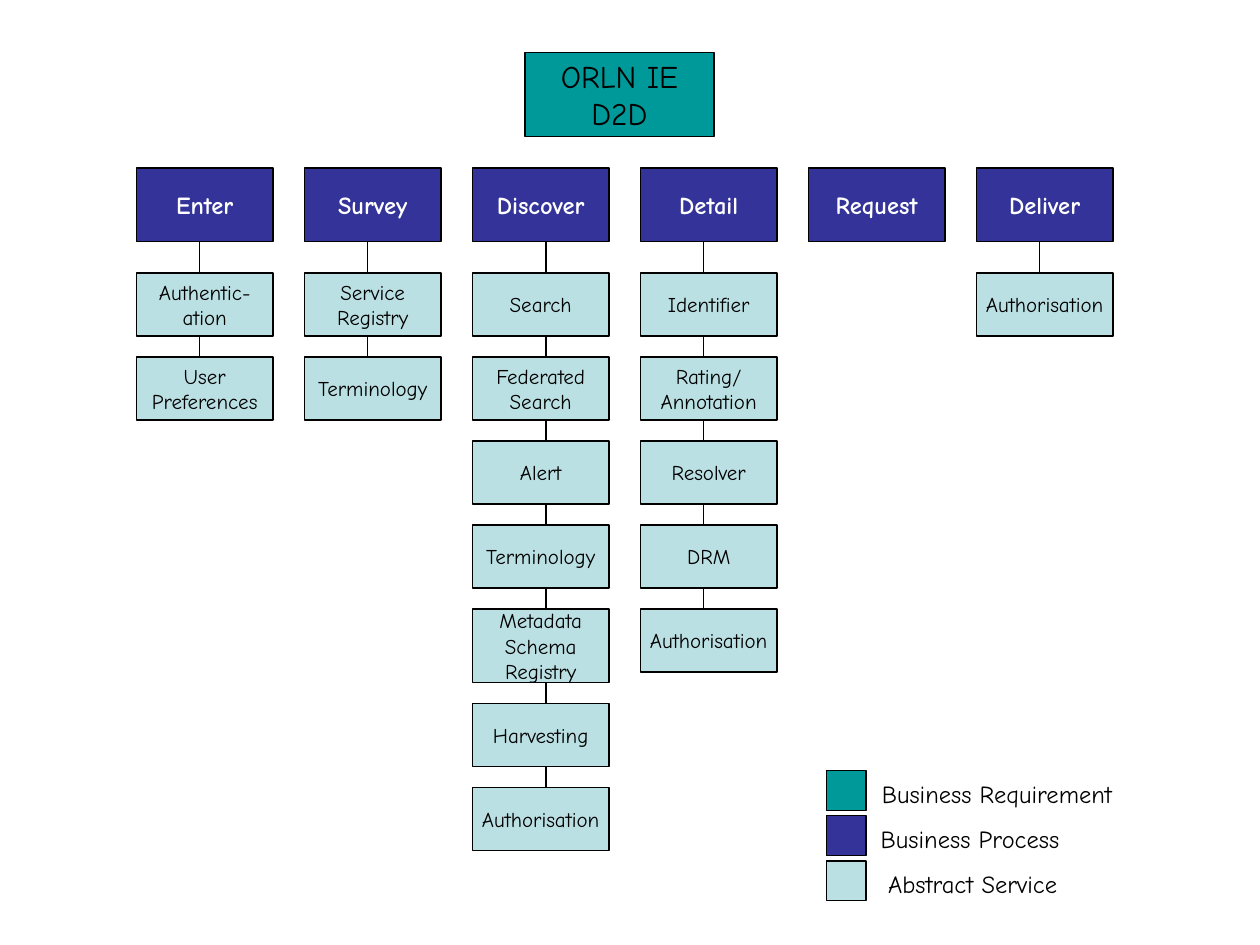
import pptx
import pptx.util
import pptx.dml.color
import pptx.enum.shapes
import pptx.enum.text
import pptx.oxml.ns
from dataclasses import dataclass
from lxml import etree

PX = pptx.util.Inches(1) // 120
PP_ALIGN = pptx.enum.text.PP_ALIGN
ANCHOR = pptx.enum.text.MSO_ANCHOR


@dataclass(frozen=True)
class Theme:
    font: str = "Comic Neue"
    requirement: str = "009999"
    process: str = "333399"
    service: str = "BBE0E3"
    ink: str = "000000"
    light: str = "FFFFFF"
    title_size: int = 18
    process_size: int = 14
    service_size: int = 12
    legend_size: int = 14
    border: float = 0.75


THEME = Theme()

COLUMN_WIDTH, COLUMN_PITCH = 130, 160
PROCESS_HEIGHT, SERVICE_TOP = 70, 100
SERVICE_HEIGHT, TALL_SERVICE_HEIGHT, SERVICE_GAP = 60, 70, 20

# Process, its services, and its spine as (x, top, bottom) within the column;
# \v breaks a line, \n starts a paragraph
COLUMNS = [
    ("Enter", ["Authentic-\vation", "User\vPreferences"], (60, 60, 220)),
    ("Survey", ["Service\vRegistry", "Terminology"], (60, 50, 190)),
    ("Discover", ["Search", "Federated\vSearch", "Alert", "Terminology",
                  "Metadata\vSchema\vRegistry", "Harvesting",
                  "Authorisation"], (70, 60, 630)),
    ("Detail", ["Identifier", "Rating/\nAnnotation", "Resolver", "DRM",
                "Authorisation"], (60, 60, 470)),
    ("Request", [], None),
    ("Deliver", ["Authorisation"], (60, 60, 150)),
]

# Label, colour, label box as (x, width) within the legend
LEGEND = [
    ("Business Requirement", THEME.requirement, (41, 244)),
    ("Business Process", THEME.process, (40, 194)),
    ("Abstract Service", THEME.service, (47, 186)),
]


def rgb(value):
    return pptx.dml.color.RGBColor.from_string(value)


def px(*lengths):
    return [length * PX for length in lengths]


def write(holder, text, *, size, color=THEME.ink, bold=False,
          align=PP_ALIGN.CENTER, anchor=ANCHOR.MIDDLE):
    frame = holder.text_frame
    frame.text = text
    frame.word_wrap = False
    frame.auto_size = pptx.enum.text.MSO_AUTO_SIZE.NONE
    frame.vertical_anchor = anchor
    for paragraph in frame.paragraphs:
        paragraph.alignment = align
        for run in paragraph.runs:
            run.font.name = THEME.font
            run.font.size = pptx.util.Pt(size)
            run.font.bold = bold
            run.font.color.rgb = rgb(color)


def paint(holder, color):
    holder.fill.solid()
    holder.fill.fore_color.rgb = rgb(color)
    holder.line.color.rgb = rgb(THEME.ink)
    holder.line.width = pptx.util.Pt(THEME.border)


def add_block(slide, box, color):
    block = slide.shapes.add_shape(
        pptx.enum.shapes.MSO_SHAPE.RECTANGLE, *px(*box))
    block.shadow.inherit = False
    paint(block, color)
    return block


def add_spine(slide, x, top, bottom):
    spine = slide.shapes.add_connector(
        pptx.enum.shapes.MSO_CONNECTOR.STRAIGHT, *px(x, top, x, bottom))
    spine.line.color.rgb = rgb(THEME.ink)
    spine.line.width = pptx.util.Pt(THEME.border)
    properties = spine._element.find(pptx.oxml.ns.qn("p:spPr"))
    etree.SubElement(properties, pptx.oxml.ns.qn("a:effectLst"))


def place_title(slide, box):
    title = slide.shapes.title
    title.left, title.top, title.width, title.height = px(*box)
    paint(title, THEME.requirement)
    write(title, "ORLN IE\vD2D", size=THEME.title_size)


def place_column(slide, left, top, process, services, spine):
    # The spine goes first so that the boxes cover it
    if spine:
        spine_x, spine_top, spine_bottom = spine
        add_spine(slide, left + spine_x, top + spine_top, top + spine_bottom)

    # Process heading
    heading = add_block(slide, (left, top, COLUMN_WIDTH, PROCESS_HEIGHT),
                        THEME.process)
    write(heading, process, size=THEME.process_size, color=THEME.light,
          bold=True)

    # Stack of services; three lines need a taller box
    service_top = top + SERVICE_TOP
    for service in services:
        tall = service.count("\v") > 1
        height = TALL_SERVICE_HEIGHT if tall else SERVICE_HEIGHT
        service_box = add_block(
            slide, (left, service_top, COLUMN_WIDTH, height), THEME.service)
        write(service_box, service, size=THEME.service_size)
        service_top += height + SERVICE_GAP


def place_legend(slide, left, top, swatch=38, pitch=43):
    for row, (meaning, color, (label_x, label_width)) in enumerate(LEGEND):
        row_top = top + row * pitch
        add_block(slide, (left, row_top, swatch, swatch), color)
        label = slide.shapes.add_textbox(
            *px(left + label_x, row_top + 2, label_width, 41))
        write(label, meaning, size=THEME.legend_size, align=PP_ALIGN.LEFT,
              anchor=ANCHOR.TOP)


def main():
    deck = pptx.Presentation()
    deck.slide_width, deck.slide_height = px(1200, 900)
    slide = deck.slides.add_slide(deck.slide_layouts.get_by_name("Title Only"))

    place_title(slide, (500, 50, 180, 80))
    for index, (process, services, spine) in enumerate(COLUMNS):
        place_column(slide, 130 + index * COLUMN_PITCH, 160, process,
                     services, spine)
    place_legend(slide, 787, 734)

    deck.save("out.pptx")


if __name__ == "__main__":
    main()
